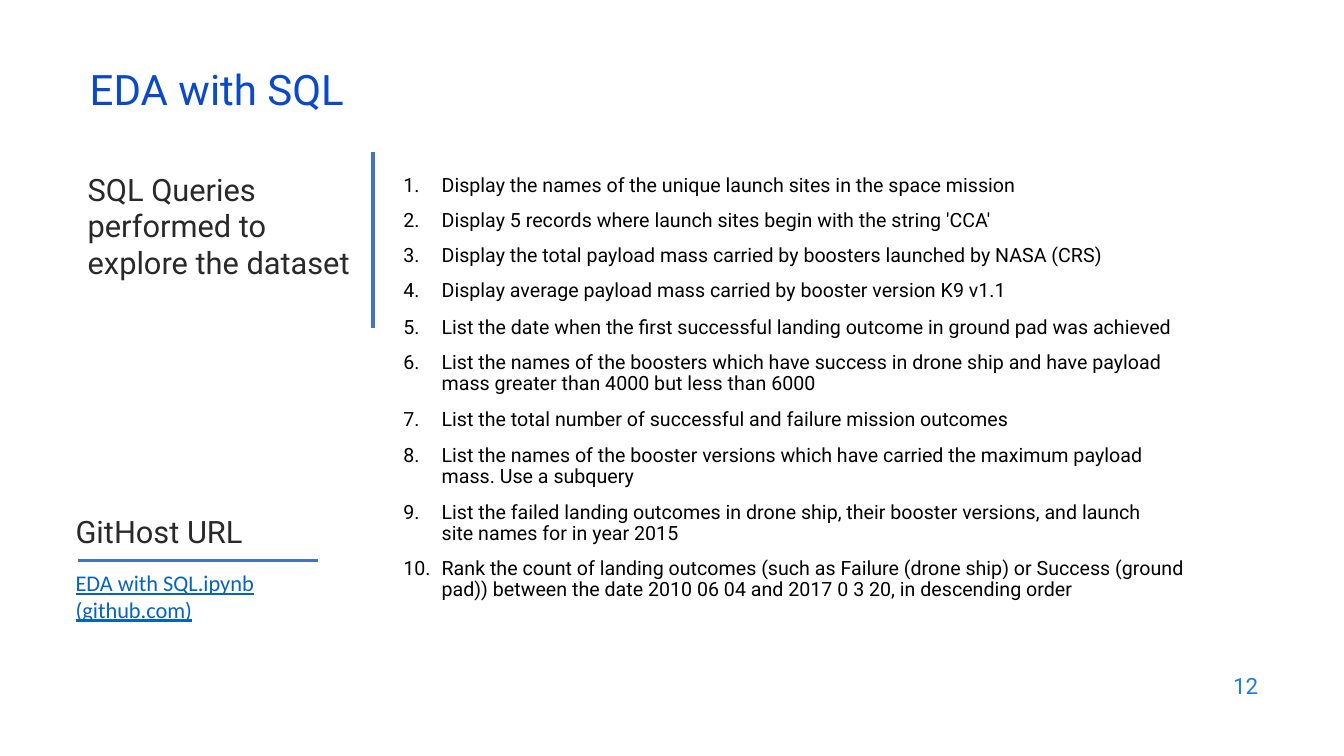
from dataclasses import dataclass

from lxml import etree
from pptx import Presentation
from pptx.dml.color import RGBColor
from pptx.enum.shapes import MSO_CONNECTOR
from pptx.oxml.ns import qn
from pptx.util import Inches, Pt

STRAIGHT = MSO_CONNECTOR.STRAIGHT


@dataclass(frozen=True)
class Theme:
    title_color: str = "0B49CB"
    heading_color: str = "292929"
    body_color: str = "000000"
    link_color: str = "0563C1"
    number_color: str = "1C7DDB"
    rule_color: str = "4472C4"
    title_size: float = 30
    heading_size: float = 22
    small_size: float = 16
    body_size: float = 14
    rule_width: float = 2.25
    font: str = "Roboto"
    link_font: str = "Calibri"


THEME = Theme()
WRAPPED_LINE = 15  # fixed line height, in points, of queries on two lines

# Query, space before and fixed line height (None for the natural height)
QUERIES = [
    ("Display the names of the unique launch sites in the space mission", 0, None),
    ("Display 5 records where launch sites begin with the string 'CCA'", 8.2, None),
    ("Display the total payload mass carried by boosters launched by NASA (CRS)", 8.2, None),
    ("Display average payload mass carried by booster version K9 v1.1", 8.2, None),
    ("List the date when the first successful landing outcome in ground pad was achieved", 9.2, None),
    ("List the names of the boosters which have success in drone ship and have payload "
     "mass greater than 4000 but less than 6000", 10.2, WRAPPED_LINE),
    ("List the total number of successful and failure mission outcomes", 9, None),
    ("List the names of the booster versions which have carried the maximum payload "
     "mass. Use a subquery", 10.2, WRAPPED_LINE),
    ("List the failed landing outcomes in drone ship, their booster versions, and launch "
     "site names for in year 2015", 11, WRAPPED_LINE),
]
LAST_QUERY = [
    ("Rank the count of landing outcomes (such as Failure (drone ship) or Success (ground "
     "pad)) between the date 2010 06 04 and 2017 0 3 20, in descending order", 0, WRAPPED_LINE),
]


def add_frame(page, left, top, width, height):
    """Add a wrapping text box without insets and return its text frame."""
    box = page.shapes.add_textbox(Inches(left), Inches(top), Inches(width), Inches(height))
    frame = box.text_frame
    frame.word_wrap = True
    frame.margin_left = frame.margin_top = frame.margin_right = frame.margin_bottom = 0
    return frame


def style_paragraph(para, size, color, font=THEME.font, line=None):
    para.font.size = Pt(size)
    para.font.name = font
    para.font.color.rgb = RGBColor.from_string(color)
    if line:
        para.line_spacing = Pt(line)


def add_label(page, text, place, size, color, font=THEME.font, line=None):
    para = add_frame(page, *place).paragraphs[0]
    para.text = text
    style_paragraph(para, size, color, font, line)
    return para


def number_paragraph(para, start):
    properties = para._p.get_or_add_pPr()
    properties.set("marL", str(Inches(0.39)))
    properties.set("indent", str(Inches(-0.38)))
    bullet = etree.SubElement(properties, qn("a:buAutoNum"), type="arabicPeriod")
    if start > 1:
        bullet.set("startAt", str(start))


def add_numbered_list(page, queries, place, start=1):
    frame = add_frame(page, *place)
    for index, (text, space, line) in enumerate(queries):
        para = frame.add_paragraph() if index else frame.paragraphs[0]
        para.text = text
        number_paragraph(para, start)
        style_paragraph(para, THEME.body_size, THEME.body_color, line=line)
        if space:
            para.space_before = Pt(space)


def add_rule(page, left, top, right, bottom):
    rule = page.shapes.add_connector(
        STRAIGHT, Inches(left), Inches(top), Inches(right), Inches(bottom))
    rule.line.color.rgb = RGBColor.from_string(THEME.rule_color)
    rule.line.width = Pt(THEME.rule_width)
    etree.SubElement(rule._element.spPr, qn("a:effectLst"))


def main():
    deck = Presentation()
    deck.slide_width, deck.slide_height = Inches(13.33), Inches(7.5)
    page = deck.slides.add_slide(deck.slide_layouts[6])

    add_label(page, "EDA with SQL", (0.89, 0.63, 2.9, 0.51),
              THEME.title_size, THEME.title_color)
    add_label(page, "SQL Queries performed to explore the dataset", (0.87, 1.7, 2.75, 1.09),
              THEME.heading_size, THEME.heading_color, line=26)
    add_rule(page, 3.7, 1.51, 3.7, 3.25)

    add_numbered_list(page, QUERIES, (3.99, 1.72, 7.68, 3.69))
    add_numbered_list(page, LAST_QUERY, (3.99, 5.54, 7.82, 0.43), start=len(QUERIES) + 1)

    add_label(page, "GitHost URL", (0.75, 5.09, 1.9, 0.38),
              THEME.heading_size, THEME.heading_color)
    add_rule(page, 0.77, 5.56, 3.15, 5.56)
    link = add_label(page, "EDA with SQL.ipynb (github.com)", (0.75, 5.65, 1.85, 0.53),
                     THEME.small_size, THEME.link_color, THEME.link_font, line=19)
    link.font.underline = True

    add_label(page, "12", (12.23, 6.71, 0.35, 0.25),
              THEME.small_size, THEME.number_color, line=16.5)
    deck.save("out.pptx")


if __name__ == "__main__":
    main()
